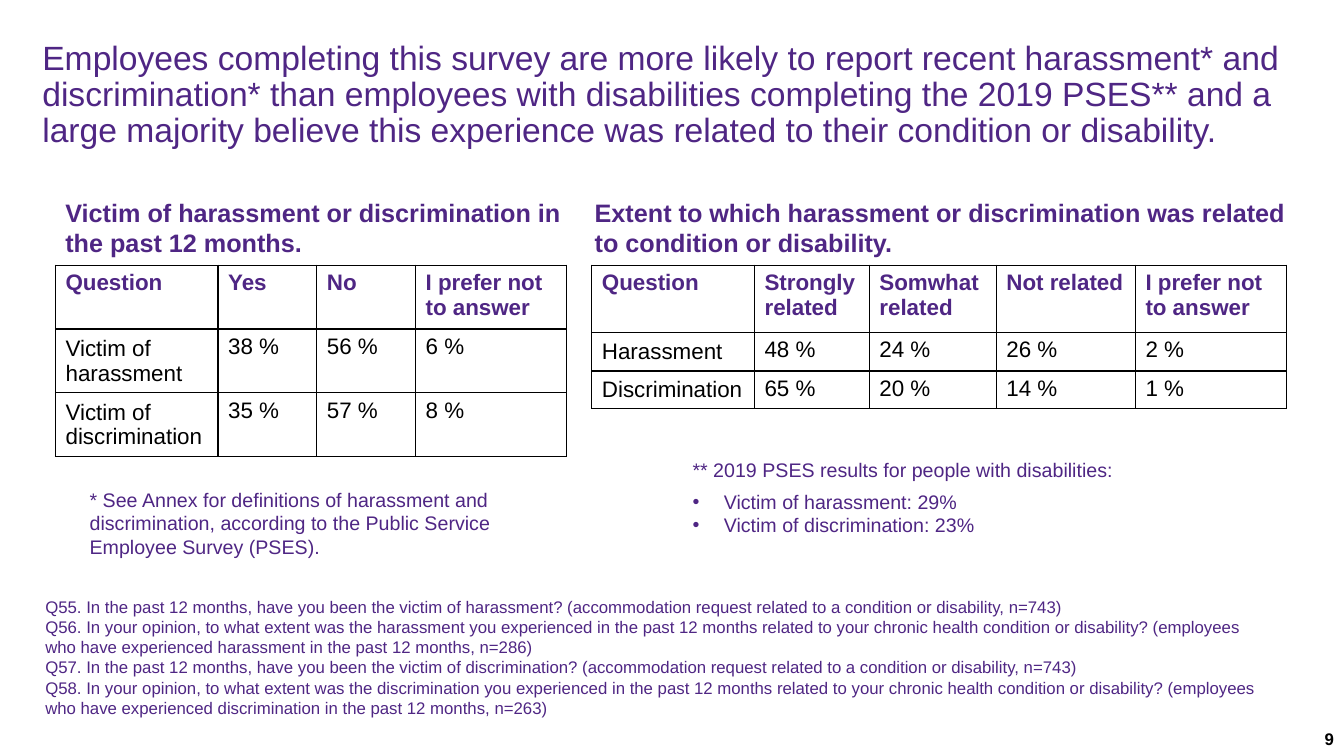
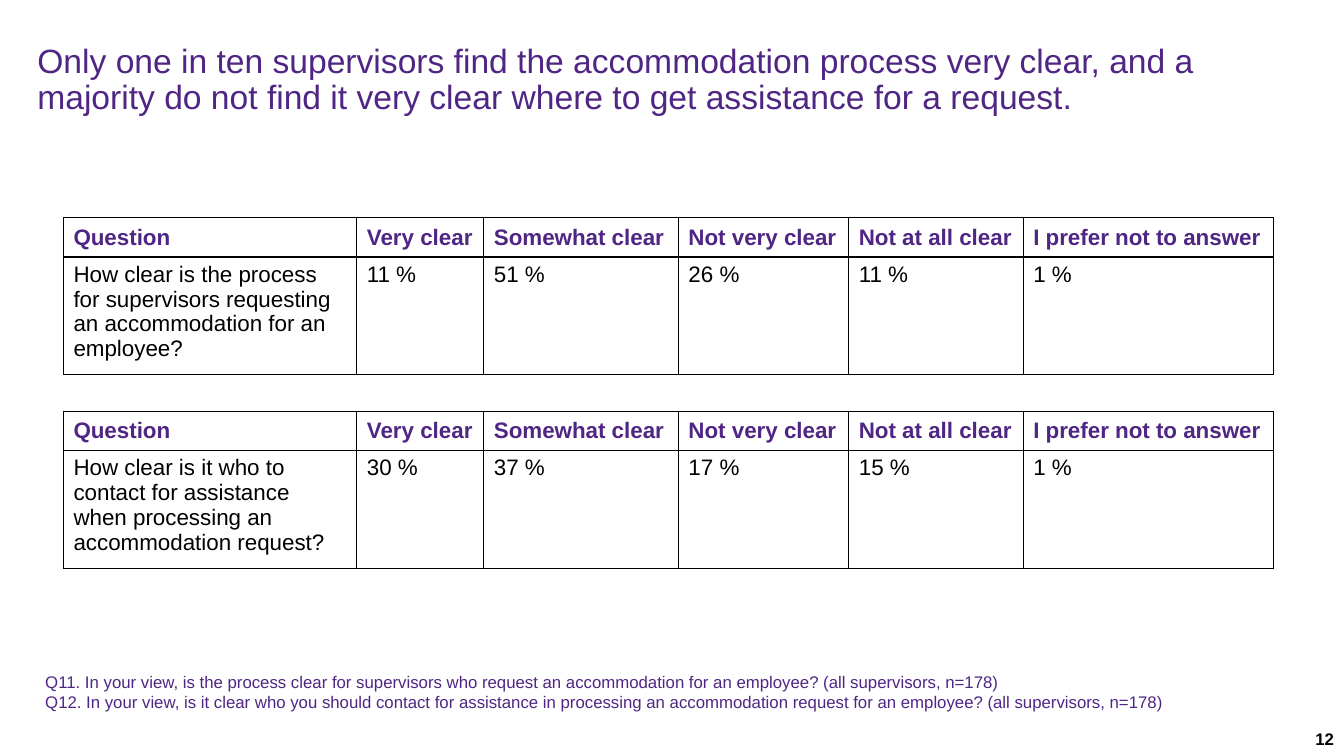
from lxml.etree import SubElement
from pptx import Presentation
from pptx.dml.color import RGBColor as Rgb
from pptx.enum.text import MSO_ANCHOR as Anchor, PP_ALIGN as Align
from pptx.oxml.ns import qn
from pptx.util import Inches, Pt

COLORS = {"purple": "4F2684", "black": "000000"}
# style: font attributes, colour
STYLES = {
    "title": ({"name": "Arial", "size": Pt(24), "bold": False}, "purple"),
    "heading": ({"name": "Arial", "size": Pt(18), "bold": True}, "purple"),
    "header": ({"name": "Arial", "size": Pt(16), "bold": True}, "purple"),
    "body": ({"name": "Arial", "size": Pt(16), "bold": False}, "black"),
    "note": ({"name": "Arial", "size": Pt(14), "bold": False}, "purple"),
    "source": ({"name": "Arial", "size": Pt(12), "bold": False}, "purple"),
    "page": ({"name": "Arial", "size": Pt(12), "bold": True}, "black"),
}
# paragraph attributes and frame margins that differ from the defaults
PARAGRAPHS = {
    "title": {"line_spacing": 0.9},
    "page": {"alignment": Align.RIGHT},
}
MARGINS = {
    "title": {"margin_left": 0, "margin_right": 0,
              "margin_top": Inches(0.02), "margin_bottom": Inches(0.02)},
}

deck = Presentation()
deck.slide_width, deck.slide_height = Inches(13.33), Inches(7.5)
COLUMN, ROW = deck.slide_width / 100, deck.slide_height / 100  # 100 x 100 grid


def write(frame, style, lines):
    """Fill a text frame, one paragraph a line; a leading • makes a bullet."""
    frame.word_wrap = True
    font_values, color = STYLES[style]
    for name, value in MARGINS.get(style, {}).items():
        setattr(frame, name, value)
    for index, line in enumerate(lines):
        paragraph = frame.paragraphs[0] if index == 0 else frame.add_paragraph()
        for name, value in PARAGRAPHS.get(style, {}).items():
            setattr(paragraph, name, value)
        if style == "note" and not line.startswith("•"):
            paragraph.space_after = Pt(6)
        if line.startswith("•"):
            properties = paragraph._p.get_or_add_pPr()
            properties.set("marL", str(Inches(0.31)))
            properties.set("indent", str(-Inches(0.31)))
            SubElement(properties, qn("a:buFont"), typeface="Arial")
            SubElement(properties, qn("a:buChar"), char="•")
        run = paragraph.add_run()
        run.text = line.removeprefix("•")
        for name, value in font_values.items():
            setattr(run.font, name, value)
        run.font.color.rgb = Rgb.from_string(COLORS[color])


def add_grid_table(slide, left, top, widths, heights, rows, middle_cells):
    """Add a black-ruled table; middle_cells(row, column) tells which cells centre vertically."""
    table = slide.shapes.add_table(
        len(rows), len(widths), int(left * COLUMN), int(top * ROW),
        int(sum(widths) * COLUMN), int(sum(heights) * ROW)).table
    table.first_row = table.horz_banding = False
    for column, width in zip(table.columns, widths):
        column.width = int(width * COLUMN)
    for row, height in zip(table.rows, heights):
        row.height = int(height * ROW)
    for r, values in enumerate(rows):
        for c, value in enumerate(values):
            cell = table.cell(r, c)
            write(cell.text_frame, "body" if r else "header", [value])
            cell.vertical_anchor = Anchor.MIDDLE if middle_cells(r, c) else Anchor.TOP
            borders = cell._tc.get_or_add_tcPr()
            for side in ("lnL", "lnR", "lnT", "lnB"):
                line = SubElement(borders, qn(f"a:{side}"), w=str(Pt(1)))
                fill = SubElement(line, qn("a:solidFill"))
                SubElement(fill, qn("a:srgbClr"), val=COLORS["black"])
            cell.fill.background()


CLARITY_HEADER = ["Question", "Very clear", "Somewhat clear", "Not very clear",
                  "Not at all clear", "I prefer not to answer"]
CLARITY_WIDTHS = [21.83, 9.45, 14.48, 12.68, 12.98, 18.6]

# Text: style, (left, top, width, height), lines
# Tables: left, top, column widths, row heights, rows, vertically centred cells
SLIDES = [
    {
        "page": "9",
        "texts": [
            ("title", (3.15, 5.2, 95.1, 15.07), [
                "Employees completing this survey are more likely to report recent "
                "harassment* and discrimination* than employees with disabilities "
                "completing the 2019 PSES** and a large majority believe this "
                "experience was related to their condition or disability."]),
            ("note", (5.93, 63.87, 37.5, 10.8), [
                "* See Annex for definitions of harassment and discrimination, "
                "according to the Public Service Employee Survey (PSES)."]),
            ("note", (50.79, 59.87, 35.4, 11.87), [
                "** 2019 PSES results for people with disabilities:",
                "•Victim of harassment: 29%",
                "•Victim of discrimination: 23%"]),
            ("heading", (4.13, 25.47, 41.19, 9.47), [
                "Victim of harassment or discrimination in the past 12 months."]),
            ("heading", (43.51, 25.47, 53.04, 9.47), [
                "Extent to which harassment or discrimination was related to "
                "condition or disability."]),
            ("source", (2.63, 78.27, 92.1, 17.47), [
                "Q55. In the past 12 months, have you been the victim of harassment? "
                "(accommodation request related to a condition or disability, n=743)",
                "Q56. In your opinion, to what extent was the harassment you experienced "
                "in the past 12 months related to your chronic health condition or "
                "disability? (employees who have experienced harassment in the past "
                "12 months, n=286)",
                "Q57. In the past 12 months, have you been the victim of discrimination? "
                "(accommodation request related to a condition or disability, n=743)",
                "Q58. In your opinion, to what extent was the discrimination you "
                "experienced in the past 12 months related to your chronic health "
                "condition or disability? (employees who have experienced discrimination "
                "in the past 12 months, n=263)"]),
        ],
        "tables": [
            (4.13, 35.07, [12.1, 7.35, 7.35, 11.25], [8.45] * 3, [
                ["Question", "Yes", "No", "I prefer not to answer"],
                ["Victim of harassment", "38 %", "56 %", "6 %"],
                ["Victim of discrimination", "35 %", "57 %", "8 %"]],
             lambda r, c: r > 0 and c == 0),
            (44.04, 35.07, [12.1, 8.55, 9.45, 10.35, 11.25], [8.93, 5.07, 5], [
                ["Question", "Strongly related", "Somwhat related", "Not related",
                 "I prefer not to answer"],
                ["Harassment", "48 %", "24 %", "26 %", "2 %"],
                ["Discrimination", "65 %", "20 %", "14 %", "1 %"]],
             lambda r, c: r > 0 and c == 0),
        ],
    },
    {
        "page": "12",
        "texts": [
            ("title", (2.78, 5.6, 95.05, 10.27), [
                "Only one in ten supervisors find the accommodation process very clear, "
                "and a majority do not find it very clear where to get assistance for "
                "a request."]),
            ("source", (2.63, 88.13, 93.75, 6.67), [
                "Q11. In your view, is the process clear for supervisors who request an "
                "accommodation for an employee? (all supervisors, n=178)",
                "Q12. In your view, is it clear who you should contact for assistance in "
                "processing an accommodation request for an employee? "
                "(all supervisors, n=178)"]),
        ],
        "tables": [
            (4.72, top, CLARITY_WIDTHS, [5.2, 14.53], [CLARITY_HEADER, answers],
             lambda r, c: r == 0)
            for top, answers in [
                (28.8, ["How clear is the process for supervisors requesting an "
                        "accommodation for an employee?",
                        "11 %", "51 %", "26 %", "11 %", "1 %"]),
                (54.4, ["How clear is it who to contact for assistance when processing "
                        "an accommodation request?",
                        "30 %", "37 %", "17 %", "15 %", "1 %"]),
            ]
        ],
    },
]

for content in SLIDES:
    slide = deck.slides.add_slide(deck.slide_layouts[6])
    page_number = ("page", (77.5, 95.73, 22.5, 4.27), [content["page"]])
    for style, (left, top, width, height), lines in content["texts"] + [page_number]:
        box = slide.shapes.add_textbox(int(left * COLUMN), int(top * ROW),
                                       int(width * COLUMN), int(height * ROW))
        write(box.text_frame, style, lines)
    for table_values in content["tables"]:
        add_grid_table(slide, *table_values)

deck.save("out.pptx")
